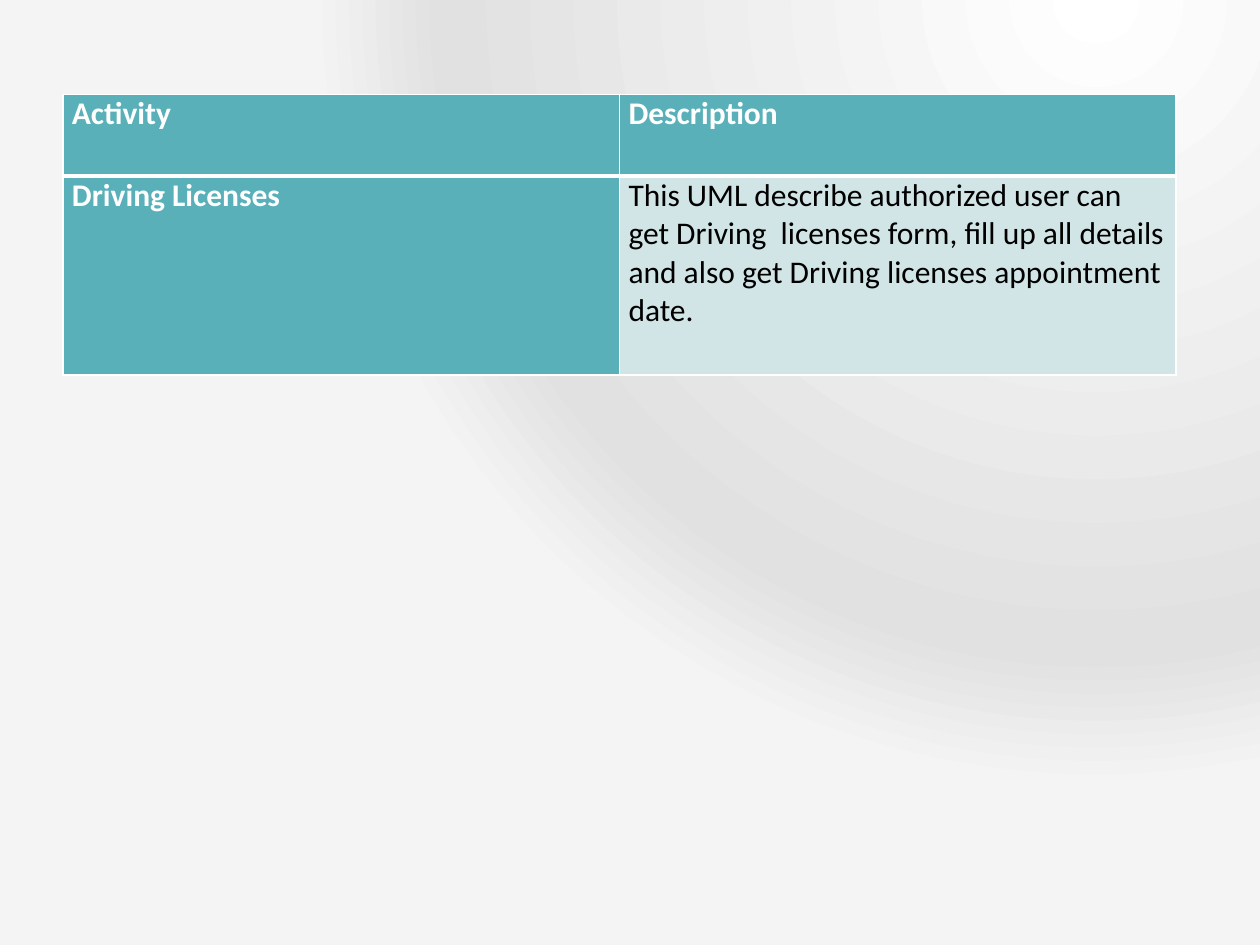
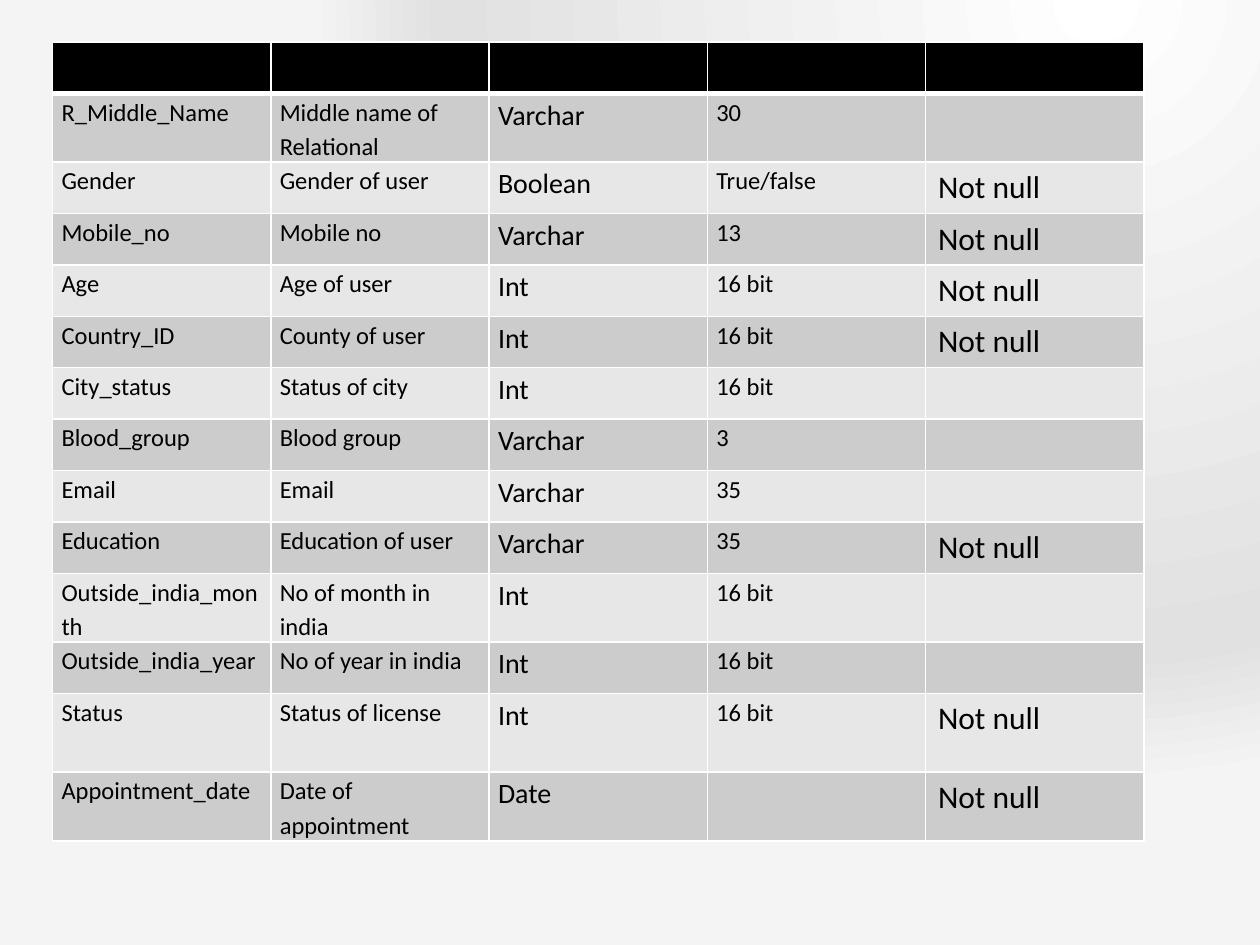
import lxml.etree
import pptx
import pptx.dml.color
import pptx.oxml.ns
import pptx.util

Cm = pptx.util.Cm
Pt = pptx.util.Pt
qn = pptx.oxml.ns.qn

FONT = "Calibri"
WHITE = "FFFFFF"
BLACK = "000000"
TEAL = "59B0B9"
PALE_TEAL = "D1E4E6"
GREY_BANDS = ("CCCCCC", "E7E7E7")
BACKGROUND_STOPS = ((0, WHITE), (83, "E1E1E1"), (100, "F4F4F4"))
BACKGROUND_FOCUS = {"l": 75, "t": 100, "r": 0, "b": 300}
BLANK_LAYOUT = 6

ACTIVITY_ROWS = [
    ("Activity", "Description"),
    (
        "Driving Licenses",
        "This UML describe authorized user can get Driving  licenses form, "
        "fill up all details and also get Driving licenses appointment date.",
    ),
]
FIELD_ROWS = [
    ("", "", "", "", ""),
    ("R_Middle_Name", "Middle name of Relational", "Varchar", "30", ""),
    ("Gender", "Gender of user", "Boolean", "True/false", "Not null"),
    ("Mobile_no", "Mobile no", "Varchar", "13", "Not null"),
    ("Age", "Age of user", "Int", "16 bit", "Not null"),
    ("Country_ID", "County of user", "Int", "16 bit", "Not null"),
    ("City_status", "Status of city", "Int", "16 bit", ""),
    ("Blood_group", "Blood group", "Varchar", "3", ""),
    ("Email", "Email", "Varchar", "35", ""),
    ("Education", "Education of user", "Varchar", "35", "Not null"),
    ("Outside_india_month", "No of month in india", "Int", "16 bit", ""),
    ("Outside_india_year", "No of year in india", "Int", "16 bit", ""),
    ("Status", "Status of license", "Int", "16 bit", "Not null"),
    ("Appointment_date", "Date of appointment", "Date", "", "Not null"),
]
FIELD_SIZES = (14, 14, 16, 14, 18)
ROW_HEIGHT = 1.03
TWO_LINE_HEIGHT = 1.38
TALL_ROWS = {
    "R_Middle_Name": TWO_LINE_HEIGHT,
    "Outside_india_month": TWO_LINE_HEIGHT,
    "Status": 1.59,
    "Appointment_date": TWO_LINE_HEIGHT,
}


def color(value):
    return pptx.dml.color.RGBColor.from_string(value)


class Deck:
    def __init__(self):
        self.presentation = pptx.Presentation()
        self.presentation.slide_width = Cm(25.4)
        self.presentation.slide_height = Cm(19.05)
        self.slide = None
        self.set_background()

    def set_background(self):
        master = self.presentation.slide_master
        master.background.fill.solid()
        properties = next(master.element.iter(qn("p:bgPr")))
        gradient = lxml.etree.Element(qn("a:gradFill"), rotWithShape="1")
        stops = lxml.etree.SubElement(gradient, qn("a:gsLst"))
        for position, value in BACKGROUND_STOPS:
            stop = lxml.etree.SubElement(stops, qn("a:gs"), pos=str(position * 1000))
            lxml.etree.SubElement(stop, qn("a:srgbClr"), val=value)
        circle = lxml.etree.SubElement(gradient, qn("a:path"))
        circle.set("path", "circle")
        focus = lxml.etree.SubElement(circle, qn("a:fillToRect"))
        for side, percent in BACKGROUND_FOCUS.items():
            focus.set(side, str(percent * 1000))
        properties.replace(properties.find(qn("a:solidFill")), gradient)

    def add_slide(self):
        layout = self.presentation.slide_layouts[BLANK_LAYOUT]
        self.slide = self.presentation.slides.add_slide(layout)

    def add_table(self, rows, left, top, column_width, heights):
        column_count = len(rows[0])
        table = self.slide.shapes.add_table(
            len(rows), column_count, Cm(left), Cm(top),
            Cm(column_width * column_count), Cm(sum(heights)),
        ).table
        for column in table.columns:
            column.width = Cm(column_width)
        for row, height in zip(table.rows, heights):
            row.height = Cm(height)
        for row_index, texts in enumerate(rows):
            for column_index, text in enumerate(texts):
                cell = table.cell(row_index, column_index)
                cell.text = text
                self.set_borders(cell, row_index)
        return table

    def set_borders(self, cell, row_index):
        widths = {
            "L": 1,
            "R": 1,
            "T": 3 if row_index == 1 else 1,
            "B": 3 if row_index == 0 else 1,
        }
        properties = cell._tc.get_or_add_tcPr()
        for side, width in widths.items():
            line = lxml.etree.SubElement(properties, qn(f"a:ln{side}"), w=str(Pt(width)))
            fill = lxml.etree.SubElement(line, qn("a:solidFill"))
            lxml.etree.SubElement(fill, qn("a:srgbClr"), val=WHITE)

    def style_cell(self, cell, fill, size=18, text_color=BLACK, bold=False,
                   spacing=1.0, tight=True):
        cell.fill.solid()
        cell.fill.fore_color.rgb = color(fill)
        cell.margin_left = cell.margin_right = Cm(0.18 if tight else 0.25)
        cell.margin_top = cell.margin_bottom = Cm(0 if tight else 0.13)
        paragraph = cell.text_frame.paragraphs[0]
        paragraph.line_spacing = spacing
        paragraph.font.name = FONT
        paragraph.font.size = Pt(size)
        paragraph.font.bold = bold
        paragraph.font.color.rgb = color(text_color)


def build_activity_slide(deck):
    deck.add_slide()
    table = deck.add_table(ACTIVITY_ROWS, 1.27, 1.9, 11.22, (1.65, 4.01))
    for row_index in range(2):
        for column_index in range(2):
            cell = table.cell(row_index, column_index)
            if row_index and column_index:
                deck.style_cell(cell, PALE_TEAL)
            else:
                deck.style_cell(cell, TEAL, text_color=WHITE, bold=True)


def build_fields_slide(deck):
    deck.add_slide()
    heights = [TALL_ROWS.get(row[0], ROW_HEIGHT) for row in FIELD_ROWS]
    table = deck.add_table(FIELD_ROWS, 1.06, 0.85, 4.4, heights)
    for row_index in range(len(FIELD_ROWS)):
        fill = GREY_BANDS[(row_index - 1) % 2] if row_index else BLACK
        for column_index, size in enumerate(FIELD_SIZES):
            is_constraint = column_index == len(FIELD_SIZES) - 1
            deck.style_cell(
                table.cell(row_index, column_index), fill, size,
                spacing=1.0 if is_constraint else 1.15,
                tight=not is_constraint,
            )


def main():
    deck = Deck()
    build_activity_slide(deck)
    build_fields_slide(deck)
    deck.presentation.save("out.pptx")


if __name__ == "__main__":
    main()
